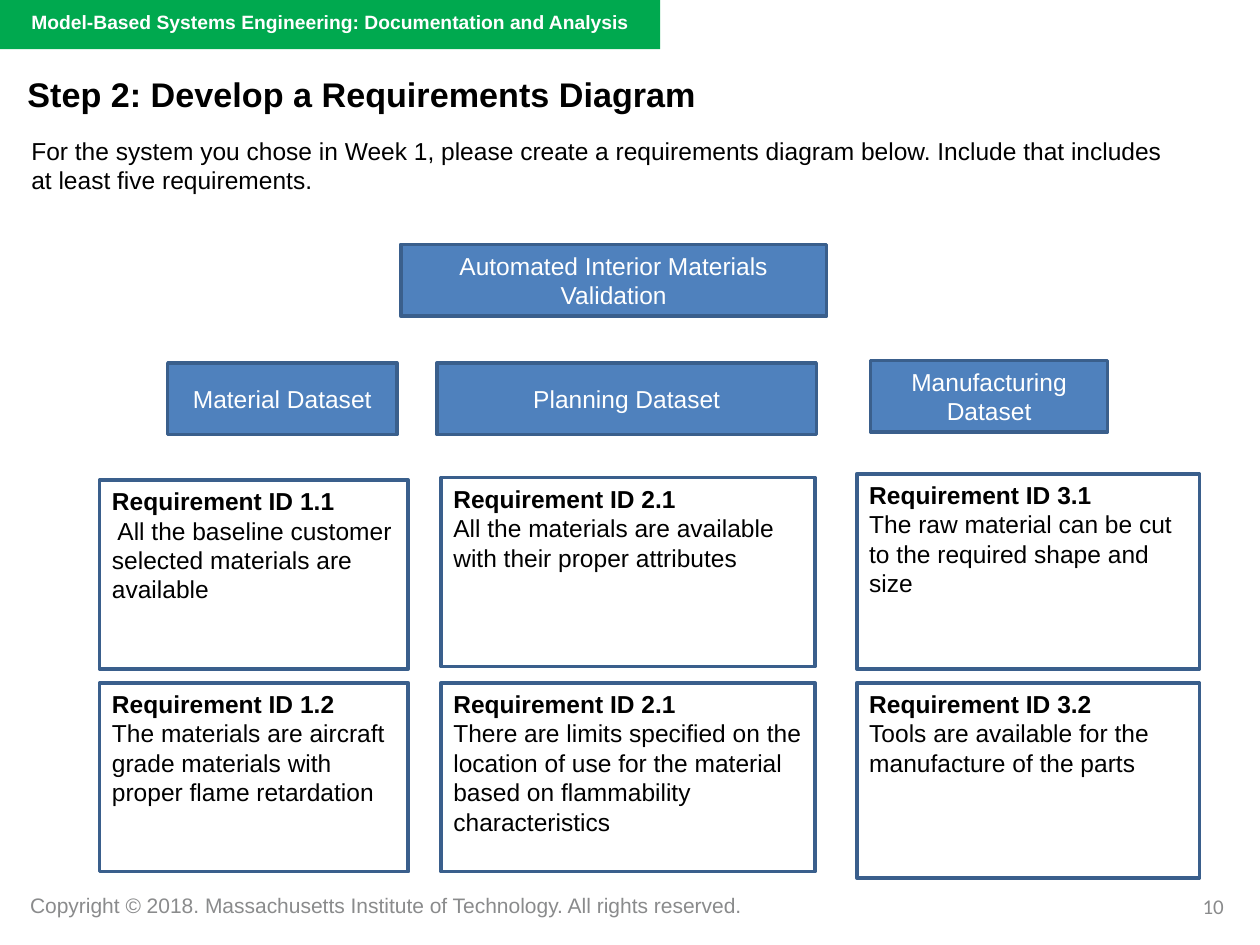
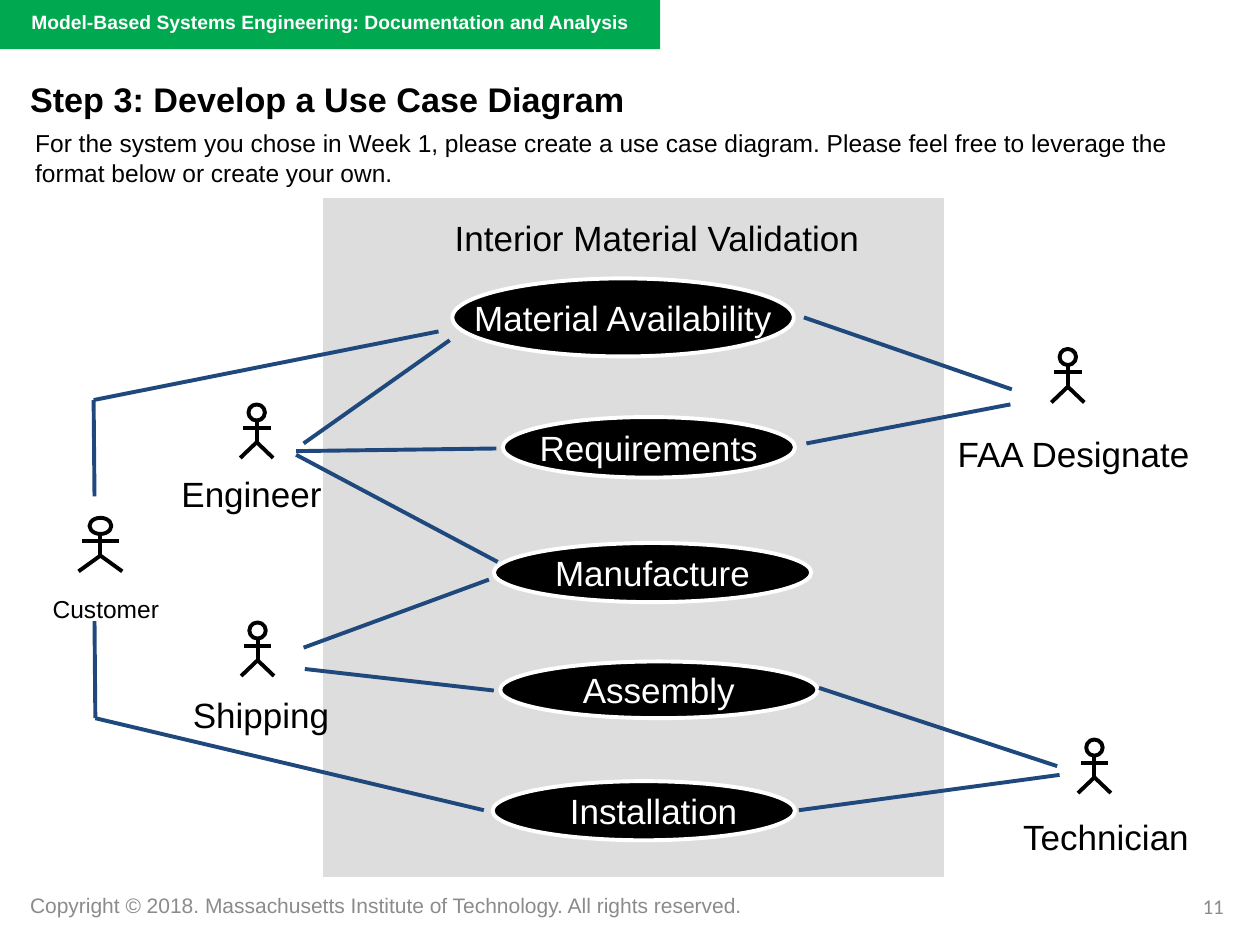
from lxml import etree
from pptx import Presentation
from pptx.dml.color import RGBColor
from pptx.enum.shapes import MSO_CONNECTOR, MSO_SHAPE
from pptx.enum.text import MSO_ANCHOR, PP_ALIGN
from pptx.oxml.ns import qn
from pptx.util import Pt

RECTANGLE, ELLIPSE = MSO_SHAPE.RECTANGLE, MSO_SHAPE.OVAL
STRAIGHT = MSO_CONNECTOR.STRAIGHT
LEFT, CENTER, RIGHT = PP_ALIGN.LEFT, PP_ALIGN.CENTER, PP_ALIGN.RIGHT
TOP, MIDDLE = MSO_ANCHOR.TOP, MSO_ANCHOR.MIDDLE

COLORS = {
    "black": "000000",
    "white": "FFFFFF",
    "band": "00A94F",
    "footer": "8A8B8C",
    "box": "4F81BD",
    "box_line": "3A5F8C",
    "panel": "DDDDDD",
    "link": "1F497D",
}
COURSE = "Model-Based Systems Engineering: Documentation and Analysis"
COPYRIGHT = ("Copyright © 2018. Massachusetts Institute of Technology. "
             "All rights reserved.")

# Left, top, width, height
SYSTEM_BOX = ("Automated Interior Materials Validation", 229, 139.7, 243.4, 41)
DATASETS = [
    ("Material Dataset", 95.8, 207.4, 131, 41),
    ("Planning Dataset", 249.8, 207.4, 216.7, 41),
    ("Manufacturing Dataset", 497.5, 205.9, 135.4, 41),
]
SECOND_ROW_TOP = 390.2
# Left, top of the first box, width, height, two requirements
REQUIREMENT_COLUMNS = [
    (56.9, 274.3, 176.4, 108, [
        ("1.1", " All the baseline customer selected materials are available"),
        ("1.2", "The materials are aircraft grade materials with "
                "proper flame retardation")]),
    (252, 272.9, 213.8, 108, [
        ("2.1", "All the materials are available with their proper attributes"),
        ("2.1", "There are limits specified on the location of use for the "
                "material based on flammability characteristics")]),
    (489.6, 270.7, 195.8, 111.6, [
        ("3.1", "The raw material can be cut to the required shape and size"),
        ("3.2", "Tools are available for the manufacture of the parts")]),
]

# Name, left, top, width, height, left inset
USE_CASES = [
    ("Material Availability", 258.5, 159.1, 195.1, 44.6, 7.2),
    ("Requirements", 287.3, 238.3, 167, 34.6, 7.2),
    ("Manufacture", 282.2, 310.3, 181.4, 33.8, 7.2),
    ("Assembly", 285.8, 378, 181.4, 32.4, 7.2),
    ("Installation", 281.5, 446.4, 172.8, 33.8, 18.4),
]
# Name, figure centre, figure top, horizontal stretch, label box, size, insets
ACTORS = [
    ("FAA Designate", 610.2, 199.4, 1, (540.7, 244.1, 148.3, 30.2), 20, (6.5, 2.9)),
    ("Engineer", 146.7, 231.1, 1, (97.2, 267.1, 93.6, 30.2), 20, (6.5, 2.9)),
    ("Shipping", 147.2, 355.7, 1, (103.7, 393.1, 96.5, 30.2), 20, (6.5, 2.9)),
    ("Technician", 625.4, 422.6, 1, (578.2, 463, 110.2, 30.2), 20, (6.5, 2.9)),
    ("Customer", 57.4, 295.9, 1.33, (23, 336.2, 75.6, 24.5), 14, (7.2, 3.6)),
]
# Each link runs through its points
LINKS = [
    [(54, 283.7), (53.5, 228.6), (250.6, 189.4)],
    [(54, 355), (54.5, 410.4), (276.5, 463)],
    [(173.5, 253.4), (257, 194.4)],
    [(169.2, 257.8), (283.7, 256.3)],
    [(169.2, 259.9), (284.4, 321.1)],
    [(173.5, 370.1), (279.4, 331.2)],
    [(174.2, 382.3), (282.2, 394.6)],
    [(459.4, 181.4), (578.2, 222.5)],
    [(460.8, 253.4), (577.4, 231.1)],
    [(468, 393.1), (604.1, 437.8)],
    [(456.5, 463), (605.5, 442.8)],
]


def color(name):
    return RGBColor.from_string(COLORS[name])


def points(values):
    return [Pt(value) for value in values]


def style_paragraph(paragraph, size, color_name, bold=False, align=LEFT, font="Arial"):
    paragraph.alignment = align
    for run in paragraph.runs:
        run.font.name = font
        run.font.size = Pt(size)
        run.font.bold = bold
        run.font.color.rgb = color(color_name)


def set_frame(text_frame, insets=(7.2, 3.6), wrap=True, anchor=TOP):
    """Insets are horizontal and vertical."""
    text_frame.word_wrap = wrap
    text_frame.vertical_anchor = anchor
    text_frame.margin_left = text_frame.margin_right = Pt(insets[0])
    text_frame.margin_top = text_frame.margin_bottom = Pt(insets[1])


def add_text(slide, text, box, size, color_name="black", insets=(7.2, 3.6),
             wrap=True, **style):
    text_frame = slide.shapes.add_textbox(*points(box)).text_frame
    set_frame(text_frame, insets, wrap)
    text_frame.text = text
    style_paragraph(text_frame.paragraphs[0], size, color_name, **style)


def add_shape(shapes, kind, box, fill=None, line=None, line_width=2):
    shape = shapes.add_shape(kind, *points(box))
    shape.shadow.inherit = False
    if fill:
        shape.fill.solid()
        shape.fill.fore_color.rgb = color(fill)
    else:
        shape.fill.background()
    if line:
        shape.line.color.rgb = color(line)
        shape.line.width = Pt(line_width)
    else:
        shape.line.fill.background()
    return shape


def add_line(shapes, start, end, color_name):
    connector = shapes.add_connector(STRAIGHT, *points(start + end))
    connector.line.color.rgb = color(color_name)
    connector.line.width = Pt(2.25)
    etree.SubElement(connector._element.spPr, qn("a:effectLst"))


def add_page(presentation, number, title, title_at, task, task_at):
    """Adds a slide with the band, footer, title and task text."""
    slide = presentation.slides.add_slide(presentation.slide_layouts[6])
    add_text(slide, COPYRIGHT, (10.1, 506.2, 429, 21.6), 12, "footer", wrap=False)
    add_shape(slide.shapes, RECTANGLE, (-0.7, 0, 378, 28.1), "band")
    add_text(slide, COURSE, (10.8, 2.2, 377.3, 41.8), 11, "white", bold=True)
    add_text(slide, str(number), (538.6, 506.9, 167.8, 28.8), 12, "footer",
             align=RIGHT, font="Calibri")
    add_text(slide, title, (*title_at, 648, 39.6), 19.5, insets=(7.2, 7.2), bold=True)
    add_text(slide, task, (*task_at, 675.4, 41), 14)
    return slide


def add_heading_box(slide, text, *box):
    shape = add_shape(slide.shapes, RECTANGLE, box, "box", "box_line")
    set_frame(shape.text_frame, anchor=MIDDLE)
    shape.text_frame.text = text
    style_paragraph(shape.text_frame.paragraphs[0], 14, "white", align=CENTER)


def add_requirement(slide, number, text, box):
    shape = add_shape(slide.shapes, RECTANGLE, box, line="box_line")
    set_frame(shape.text_frame)
    shape.text_frame.text = f"Requirement ID {number}\n{text}"
    heading, description = shape.text_frame.paragraphs
    style_paragraph(heading, 14, "black", bold=True)
    style_paragraph(description, 14, "black")


def add_use_case(slide, name, left, top, width, height, left_inset):
    shape = add_shape(slide.shapes, ELLIPSE, (left, top, width, height),
                      "black", "white", 2.25)
    set_frame(shape.text_frame, wrap=False, anchor=MIDDLE)
    shape.text_frame.margin_left = Pt(left_inset)
    shape.text_frame.text = name
    style_paragraph(shape.text_frame.paragraphs[0], 20, "white", align=CENTER)


def add_actor(slide, name, center, top, stretch, label_box, size, insets):
    """Draws a stick figure, widened by stretch, and its label."""
    figure = slide.shapes.add_group_shape().shapes
    head, arm, leg = 9.4 * stretch, 7.9 * stretch, 9.4 * stretch
    neck, shoulder, hip, foot = (top + drop for drop in (9.2, 13.3, 21.6, 30.6))
    add_shape(figure, ELLIPSE, (center - head / 2, top, head, 9.2), line="black",
              line_width=2.25)
    add_line(figure, (center, neck), (center, hip), "black")
    add_line(figure, (center - arm, shoulder), (center + arm, shoulder), "black")
    for side in (-leg, leg):
        add_line(figure, (center, hip), (center + side, foot), "black")
    add_text(slide, name, label_box, size, insets=insets, wrap=False)


def build_requirements(presentation):
    slide = add_page(
        presentation, 10, "Step 2: Develop a Requirements Diagram", (8.6, 34.6),
        "For the system you chose in Week 1, please create a requirements diagram "
        "below. Include that includes at least five requirements.", (10.8, 74.2))
    for heading in [SYSTEM_BOX, *DATASETS]:
        add_heading_box(slide, *heading)
    for left, first_top, width, height, requirements in REQUIREMENT_COLUMNS:
        for top, (number, text) in zip((first_top, SECOND_ROW_TOP), requirements):
            add_requirement(slide, number, text, (left, top, width, height))


def build_use_cases(presentation):
    slide = add_page(
        presentation, 11, "Step 3: Develop a Use Case Diagram", (10.1, 37.4),
        "For the system you chose in Week 1, please create a use case diagram. Please "
        "feel free to leverage the format below or create your own.", (13, 69.8))
    add_shape(slide.shapes, RECTANGLE, (184.3, 113, 355.7, 388.8),
              "panel", "white", 0.75)
    add_text(slide, "Interior Material Validation", (189.4, 121, 372.2, 30.2), 20,
             insets=(6.5, 2.9), align=CENTER)
    for use_case in USE_CASES:
        add_use_case(slide, *use_case)
    for actor in ACTORS:
        add_actor(slide, *actor)
    for link in LINKS:
        for start, end in zip(link, link[1:]):
            add_line(slide.shapes, start, end, "link")


def main():
    presentation = Presentation()
    presentation.slide_width, presentation.slide_height = Pt(720), Pt(540)
    build_requirements(presentation)
    build_use_cases(presentation)
    presentation.save("out.pptx")


if __name__ == "__main__":
    main()
